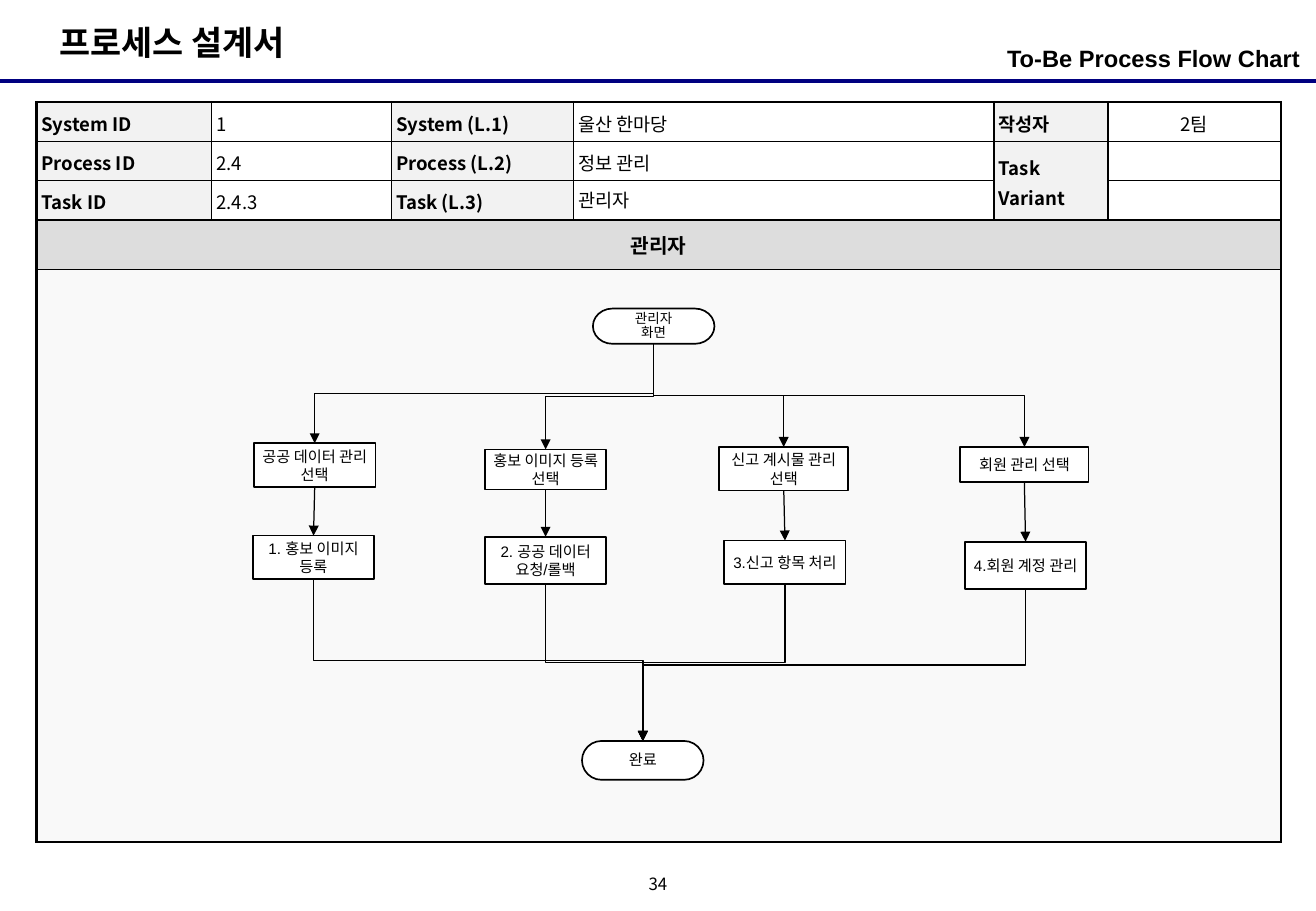
from dataclasses import dataclass

from lxml.etree import SubElement
from pptx import Presentation
from pptx.dml.color import RGBColor
from pptx.enum.shapes import MSO_CONNECTOR as Link, MSO_SHAPE as Kind
from pptx.enum.text import MSO_ANCHOR as Anchor, MSO_AUTO_SIZE as Fit, PP_ALIGN as Align
from pptx.oxml.ns import qn
from pptx.util import Inches, Pt


@dataclass(frozen=True)
class Theme:
    ink: str = "000000"
    navy: str = "000080"
    white: str = "FFFFFF"
    label: str = "F2F2F2"
    band: str = "DDDDDD"
    panel: str = "F9F9F9"
    sans: str = "Arial"
    hangul: str = "Noto Sans CJK KR"
    title: float = 20
    sub: float = 14
    head: float = 12
    cell: float = 11
    page: float = 10
    node: float = 9
    small: float = 8
    rule: float = 2.25
    thick: float = 1.5
    line: float = 1
    thin: float = 0.75


class Sheet:
    """Places elements on a grid of 108.3 columns by 75 rows."""

    def __init__(self, deck, theme):
        self.theme = theme
        self.slide = deck.slides.add_slide(deck.slide_layouts[1])
        self.shapes = self.slide.shapes
        self.col = deck.slide_width / 108.3
        self.row = deck.slide_height / 75

    def area(self, x, y, w, h):
        return (round(x * self.col), round(y * self.row),
                round(w * self.col), round(h * self.row))

    def words(self, frame, text, size, face=None, bold=False,
              align=Align.LEFT, space=1.0):
        for i, part in enumerate(text.split("\n")):
            para = frame.add_paragraph() if i else frame.paragraphs[0]
            para.alignment, para.line_spacing = align, space
            para.space_before = Pt(0)
            run = para.add_run()
            run.text = part
            font = run.font
            font.size, font.bold = Pt(size), bold
            font.name = face or self.theme.hangul
            font.color.rgb = RGBColor.from_string(self.theme.ink)
            SubElement(run._r.get_or_add_rPr(), qn("a:ea"),
                       typeface=self.theme.hangul)

    def inset(self, frame, x, y):
        frame.margin_left = frame.margin_right = Inches(x)
        frame.margin_top = frame.margin_bottom = Inches(y)

    def holder(self, index, box, wrap, pad):
        """Moves a template placeholder and clears its list format."""
        shape = self.slide.placeholders[index]
        shape.left, shape.top, shape.width, shape.height = self.area(*box)
        frame = shape.text_frame
        frame.word_wrap, frame.auto_size = wrap, Fit.NONE
        frame.vertical_anchor = Anchor.TOP
        self.inset(frame, pad, 0.05)
        props = frame.paragraphs[0]._p.get_or_add_pPr()
        props.set("marL", "0")
        props.set("indent", "0")
        SubElement(props, qn("a:buNone"))
        return frame

    def note(self, box, text, size):
        frame = self.shapes.add_textbox(*self.area(*box)).text_frame
        frame.word_wrap, frame.vertical_anchor = False, Anchor.MIDDLE
        self.inset(frame, 0, 0)
        self.words(frame, text, size, align=Align.CENTER, space=0.8)

    def node(self, box, text, size, kind=Kind.RECTANGLE, space=1.0):
        shape = self.shapes.add_shape(kind, *self.area(*box))
        shape.shadow.inherit = False
        shape.fill.solid()
        shape.fill.fore_color.rgb = RGBColor.from_string(self.theme.white)
        shape.line.color.rgb = RGBColor.from_string(self.theme.ink)
        shape.line.width = Pt(self.theme.line)
        frame = shape.text_frame
        frame.word_wrap, frame.vertical_anchor = True, Anchor.MIDDLE
        self.inset(frame, 0.02, 0)
        self.words(frame, text, size, self.theme.sans,
                   align=Align.CENTER, space=space)
        return shape

    def line(self, kind, ends, color, width):
        wire = self.shapes.add_connector(kind, *ends)
        wire.line.color.rgb = RGBColor.from_string(color)
        wire.line.width = Pt(width)
        SubElement(wire.element.spPr, qn("a:effectLst"))
        return wire

    def rule(self, y):
        left, top, width, _ = self.area(0, y, 108.3, 0)
        self.line(Link.STRAIGHT, (left, top, left + width, top),
                  self.theme.navy, self.theme.rule)

    def arrow(self, start, end, bent=False):
        """Joins the bottom of one node to the top of another."""
        x1, y1 = start.left + start.width // 2, start.top + start.height
        x2, y2 = end.left + end.width // 2, end.top
        wire = self.line(Link.ELBOW if bent else Link.STRAIGHT,
                         (x1, y1, x2, y2), self.theme.ink, self.theme.thin)
        wire.begin_connect(start, 2)
        wire.end_connect(end, 0)
        props = wire.element.spPr
        SubElement(props.find(qn("a:ln")), qn("a:tailEnd"), type="triangle")
        if bent:
            wide, tall = abs(x2 - x1), y2 - y1
            wire.left, wire.top = (x1 + x2 - tall) // 2, (y1 + y2 - wide) // 2
            wire.width, wire.height = tall, wide
            frame = props.find(qn("a:xfrm"))
            right = x2 > x1
            frame.set("rot", str((270 if right else 90) * 60000))
            frame.set("flipH", "1" if right else "0")

    def grid(self, x, y, cols, rows):
        frame = self.shapes.add_table(
            len(rows), len(cols), *self.area(x, y, sum(cols), sum(rows)))
        table = frame.table
        table.first_row = table.horz_banding = False
        for item, size in zip(table.columns, cols):
            item.width = round(size * self.col)
        for item, size in zip(table.rows, rows):
            item.height = round(size * self.row)
        return table

    def dress(self, table, inner, paint):
        """Draws thick outer and finer inner borders, then fills by paint(r, c)."""
        rows, cols = len(table.rows), len(table.columns)
        for r in range(rows):
            for c in range(cols):
                cell = table.cell(r, c)
                props = cell._tc.get_or_add_tcPr()
                outer = {"L": c == 0, "R": c == cols - 1, "T": r == 0,
                         "B": r + cell.span_height == rows}
                for side, edge in outer.items():
                    width = Pt(self.theme.thick if edge else inner)
                    ln = SubElement(props, qn("a:ln" + side), w=str(int(width)))
                    fill = SubElement(ln, qn("a:solidFill"))
                    SubElement(fill, qn("a:srgbClr"), val=self.theme.ink)
                color = paint(r, c)
                if color:
                    cell.fill.solid()
                    cell.fill.fore_color.rgb = RGBColor.from_string(color)
                else:
                    cell.fill.background()

    def enter(self, cell, text, size, **style):
        if text:
            self.words(cell.text_frame, text, size, **style)
        else:
            SubElement(cell.text_frame.paragraphs[0]._p,
                       qn("a:endParaRPr"), sz=str(size * 100))


FACTS = [
    ["System ID", "1", "System (L.1)", "울산 한마당", "작성자", "2팀"],
    ["Process ID", "2.4", "Process (L.2)", "정보 관리", "Task Variant", ""],
    ["Task ID", "2.4.3", "Task (L.3)", "관리자", "", ""],
]
LANES = [
    ((20.9, 36.5, 10, 3.6), "공공 데이터 관리 선택",
     (20.8, 44.1, 10, 3.6), "1. 홍보 이미지 등록"),
    ((39.9, 37, 10, 3.3), "홍보 이미지 등록\n선택",
     (39.9, 44.2, 10, 3.9), "2. 공공 데이터 요청/롤백"),
    ((59.2, 36.8, 10.6, 3.6), "신고 계시물 관리\n선택",
     (59.6, 44.5, 10, 3.6), "3.신고 항목 처리"),
    ((79, 36.8, 10.6, 2.9), "회원 관리 선택",
     (79.4, 44.6, 10, 3.9), "4.회원 계정 관리"),
]


def facts(sheet):
    theme = sheet.theme
    table = sheet.grid(3, 8.4, [14.4, 14.8, 15, 34.6, 9.4, 14.2], [3.13] * 3)
    table.cell(1, 4).merge(table.cell(2, 4))
    sheet.dress(table, theme.line, lambda r, c: None if c % 2 else theme.label)
    for r, texts in enumerate(FACTS):
        for c, text in enumerate(texts):
            cell = table.cell(r, c)
            sheet.inset(cell, 0.04, 0.04)
            cell.vertical_anchor = Anchor.MIDDLE if c > 3 else Anchor.TOP
            sheet.enter(cell, text, theme.cell, bold=c % 2 == 0,
                        align=Align.CENTER if c == 5 else Align.LEFT,
                        space=1.0 if (r, c) == (2, 3) else 1.1)


def panel(sheet):
    theme = sheet.theme
    table = sheet.grid(3, 18.1, [102.4], [4.1, 47.1])
    sheet.dress(table, theme.thin, lambda r, c: (theme.band, theme.panel)[r])
    head = table.cell(0, 0)
    head.vertical_anchor = Anchor.MIDDLE
    sheet.enter(head, "관리자", theme.head, bold=True, align=Align.CENTER)


def flow(sheet):
    theme, oval = sheet.theme, Kind.FLOWCHART_TERMINATOR
    start = sheet.node((48.8, 25.4, 10, 2.9), "관리자\n화면", theme.small, oval, 0.9)
    done = sheet.node((47.9, 61, 10, 3.2), "완료", theme.node, oval, 0.9)
    for top, pick, low, task in LANES:
        first = sheet.node(top, pick, theme.node)
        last = sheet.node(low, task, theme.node)
        sheet.arrow(start, first, bent=True)
        sheet.arrow(first, last)
        sheet.arrow(last, done, bent=True)


def main():
    deck = Presentation()
    deck.slide_width, deck.slide_height = Inches(10.83), Inches(7.5)
    theme = Theme()
    sheet = Sheet(deck, theme)
    sheet.rule(6.7)
    title = sheet.holder(0, (3.9, 1.3, 22.6, 4.4), False, 0.1)
    sheet.words(title, "프로세스 설계서", theme.title, bold=True)
    sub = sheet.holder(1, (73.9, 3.1, 33.1, 3.6), True, 0)
    sheet.words(sub, "To-Be Process Flow Chart", theme.sub, theme.sans,
                bold=True, align=Align.RIGHT)
    panel(sheet)
    facts(sheet)
    flow(sheet)
    sheet.note((52.5, 71.7, 3.3, 2.5), "34", theme.page)
    deck.save("out.pptx")


if __name__ == "__main__":
    main()
